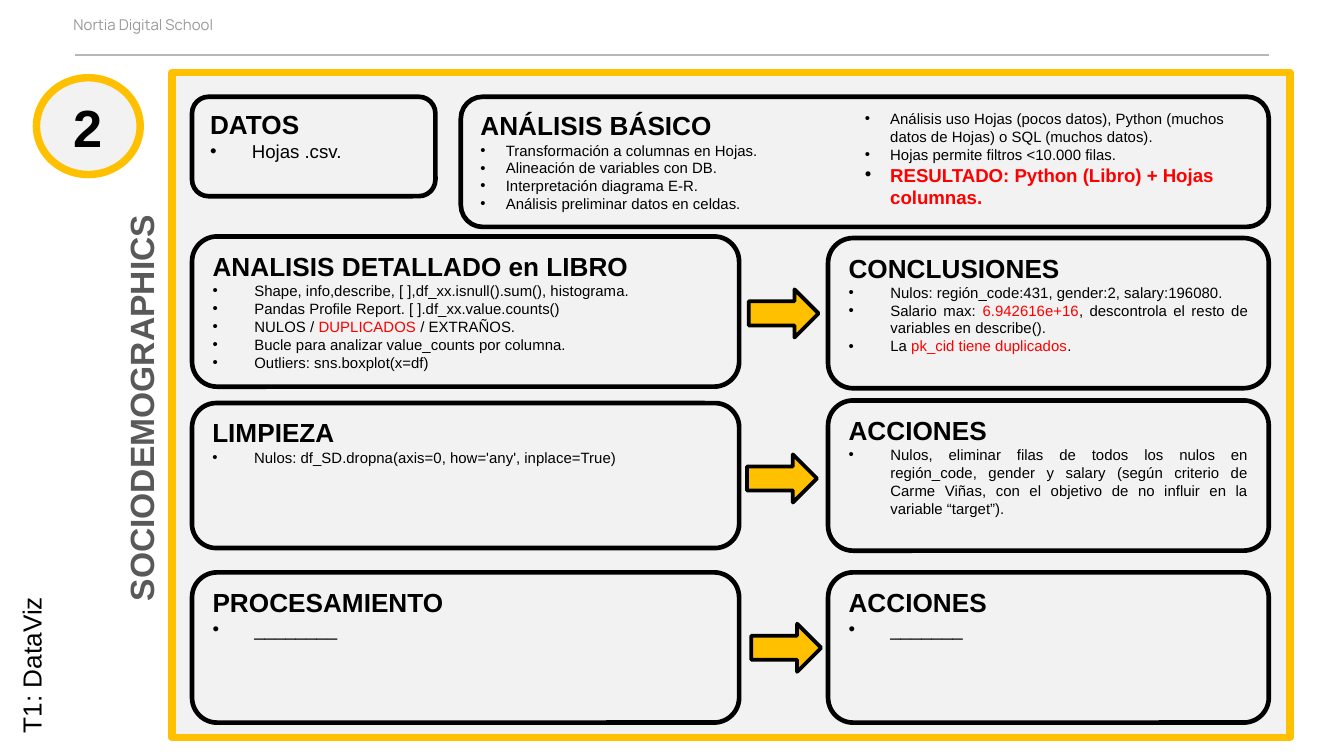
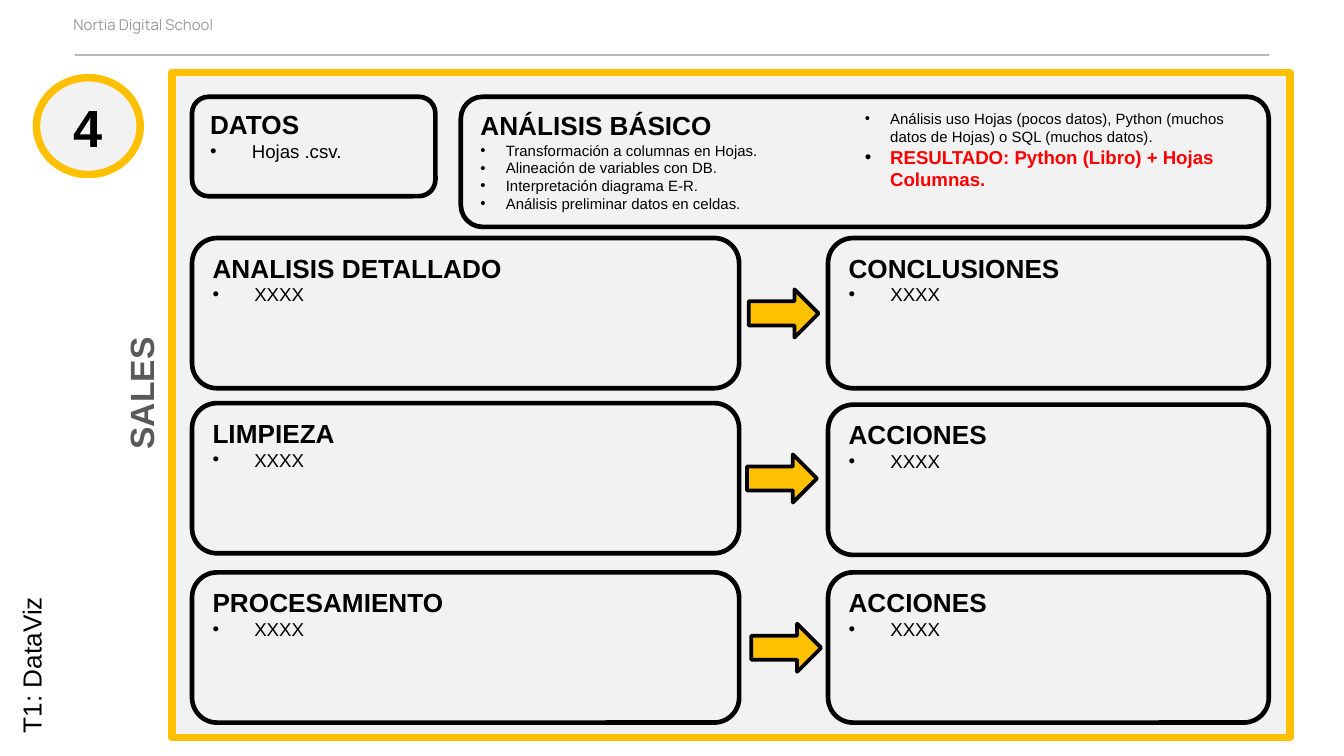
from lxml.etree import SubElement as Sub
from pptx import Presentation
from pptx.dml.color import RGBColor
from pptx.enum.shapes import MSO_CONNECTOR as Link, MSO_SHAPE as Form
from pptx.enum.text import MSO_ANCHOR as Anchor, PP_ALIGN as Align
from pptx.oxml.ns import qn
from pptx.util import Cm, Pt

GOLD, BLACK, RED, GRAY = "FFC000", "000000", "FF0000", "808080"
FONT = "Arial"
WIDE, NARROW = 0.79, 0.48  # bullet indents
PANEL = (3.25, 1.37, 21.13, 12.57)
BADGE = (0.69, 1.47, 1.96, 1.83)
LEFT, RIGHT = (3.63, 10.34), (15.65, 8.33)  # x and width of the card columns
TALL = 2.84
ROWS = [(4.5, 14.15), (7.62, 14.12), (10.82, 14.2)]  # top, arrow x


def color(code):
    return RGBColor.from_string(code)


def cms(box):
    return [Cm(side) for side in box]


def style(run, size, tint=BLACK, bold=False, face=FONT):
    font = run.font
    font.name, font.size, font.bold = face, Pt(size), bold
    font.color.rgb = color(tint)


def draw(slide, form, box, line, width, fill=None, alpha=None):
    shape = slide.shapes.add_shape(form, *cms(box))
    shape.shadow.inherit = False
    shape.line.color.rgb = color(line)
    shape.line.width = Pt(width)
    if fill:
        shape.fill.solid()
        shape.fill.fore_color.rgb = color(fill)
    else:
        shape.fill.background()
    if alpha:
        tone = shape._element.spPr.find(qn("a:solidFill"))[0]
        Sub(tone, qn("a:alpha"), val=str(alpha * 1000))
    return shape


def label(slide, box, text, size, turn=0, pad=None, **look):
    area = slide.shapes.add_textbox(*cms(box))
    area.rotation = turn
    frame = area.text_frame
    frame.word_wrap = True
    frame.text = text
    if pad:
        frame.margin_left = frame.margin_right = Cm(pad)
        frame.margin_top = frame.margin_bottom = Cm(pad)
    style(frame.paragraphs[0].runs[0], size, **look)


def bullets(frame, lines, size, indent=WIDE, align=Align.LEFT, bold=False):
    """Add bulleted lines; text between asterisks is red."""
    for line in lines:
        para = frame.add_paragraph()
        para.alignment = align
        for i, part in enumerate(line.split("*")):
            if part:
                run = para.add_run()
                run.text = part
                style(run, size, RED if i % 2 else BLACK, bold)
        props = para._p.get_or_add_pPr()
        props.set("marL", str(Cm(indent)))
        props.set("indent", str(-Cm(indent)))
        Sub(Sub(props, qn("a:buClr")), qn("a:srgbClr"), val=BLACK)
        Sub(props, qn("a:buFont"), typeface=FONT)
        Sub(props, qn("a:buChar"), char="•")


def card(slide, box, title):
    """Draw an outlined card with its title and return its text frame."""
    shape = draw(slide, Form.ROUNDED_RECTANGLE, box, BLACK, 2.5)
    frame = shape.text_frame
    frame.word_wrap = True
    frame.vertical_anchor = Anchor.TOP
    frame.text = title
    para = frame.paragraphs[0]
    para.alignment = Align.LEFT
    style(para.runs[0], 14, bold=True)
    return frame


def header(slide, x, y, width):
    rule = slide.shapes.add_connector(
        Link.STRAIGHT, *cms((x, y, x + width, y)))
    rule.line.color.rgb = color("B7B7B7")
    rule.line.width = Pt(0.75)
    Sub(rule._element.spPr, qn("a:effectLst"))
    label(slide, (x - 0.28, y - 0.91, 10.92, 0.97), "Nortia Digital School",
          8, pad=0.25, tint="999999", face="Manrope")


def badge(slide, box, number):
    x, y = box[:2]
    draw(slide, Form.OVAL, box, GOLD, 4, GRAY, 10)
    label(slide, (x + 0.45, y + 0.21, 0.81, 1.45), number, 28, bold=True)


def side(slide, topic, top):
    label(slide, (-2.01, top, 9.35, 1.02), topic, 18, 270,
          tint="595959", bold=True)
    label(slide, (-2.18, 10.9, 5.56, 0.86), "T1: DataViz", 14, 270)


def intro(slide, box, notes, result):
    """Place the data card and the two-column basic analysis card."""
    x, y, width = box
    data = card(slide, (x, y, 4.6, 1.88), "DATOS")
    bullets(data, ["Hojas .csv."], 10)
    shift = 5.08
    basic = card(slide, (x + shift, y, width - shift, 2.46),
                 "ANÁLISIS BÁSICO")
    body = basic._txBody.bodyPr
    body.set("numCol", "2")
    body.set("spcCol", "0")
    bullets(basic, STEPS + notes, 8, NARROW)
    bullets(basic, [f"*{result}*"], 10, NARROW, bold=True)


def row(slide, top, tip, pair):
    """Place a left card, an arrow and a right card."""
    for (x, width), (title, lines, size, shift, tall) in zip(
            (LEFT, RIGHT), pair):
        frame = card(slide, (x, top + shift, width, tall), title)
        align = Align.JUSTIFY if size == 8 else Align.LEFT
        bullets(frame, lines, size, align=align)
    draw(slide, Form.RIGHT_ARROW, (tip, top + 0.97, 1.32, 0.91),
         BLACK, 2, GOLD)


def entry(title, lines, size=10, shift=0, tall=TALL):
    return title, lines, size, shift, tall


def page(deck, number, topic, top, notes, result, pairs):
    slide = deck.slides.add_slide(deck.slide_layouts[6])
    draw(slide, Form.RECTANGLE, PANEL, GOLD, 4, GRAY, 10)
    header(slide, 1.42, 1.04, 22.56)
    badge(slide, BADGE, number)
    side(slide, topic, top)
    intro(slide, (LEFT[0], 1.83, sum(RIGHT) - LEFT[0]), notes, result)
    for (y, tip), pair in zip(ROWS, pairs):
        row(slide, y, tip, pair)


STEPS = [
    "Transformación a columnas en Hojas.",
    "Alineación de variables con DB.",
    "Interpretación diagrama E-R.",
    "Análisis preliminar datos en celdas.",
    "Análisis uso Hojas (pocos datos), Python (muchos datos de Hojas) "
    "o SQL (muchos datos).",
]
SOCIO = [
    (entry("ANALISIS DETALLADO en LIBRO", [
        "Shape, info,describe, [ ],df_xx.isnull().sum(), histograma.",
        "Pandas Profile Report. [ ].df_xx.value.counts()",
        "NULOS / *DUPLICADOS* / EXTRAÑOS.",
        "Bucle para analizar value_counts por columna.",
        "Outliers: sns.boxplot(x=df)",
    ], 8, -0.03),
     entry("CONCLUSIONES", [
         "Nulos: región_code:431, gender:2, salary:196080.",
         "Salario max: *6.942616e+16*, descontrola el resto de variables "
         "en describe().",
         "La *pk_cid tiene duplicados*.",
     ], 8)),
    (entry("LIMPIEZA", [
        "Nulos: df_SD.dropna(axis=0, how='any', inplace=True)",
    ], 8, tall=2.74),
     entry("ACCIONES", [
         "Nulos, eliminar filas de todos los nulos en región_code, gender y "
         "salary (según criterio de Carme Viñas, con el objetivo de no "
         "influir en la variable “target”).",
     ], 8, -0.05)),
    (entry("PROCESAMIENTO", ["________"]), entry("ACCIONES", ["_______"])),
]
BLANK = ["XXXX"]
SALES = [
    (entry("ANALISIS DETALLADO", BLANK), entry("CONCLUSIONES", BLANK)),
    (entry("LIMPIEZA", BLANK), entry("ACCIONES", BLANK, shift=0.03)),
    (entry("PROCESAMIENTO", BLANK), entry("ACCIONES", BLANK)),
]


def main():
    deck = Presentation()
    deck.slide_width, deck.slide_height = Cm(25.4), Cm(14.29)
    page(deck, "2", "SOCIODEMOGRAPHICS", 6.43,
         ["Hojas permite filtros <10.000 filas."],
         "RESULTADO: Python (Libro) + Hojas columnas.", SOCIO)
    page(deck, "4", "SALES", 3.56, [],
         "RESULTADO: Python (Libro) + Hojas Columnas.", SALES)
    deck.save("out.pptx")


if __name__ == "__main__":
    main()
